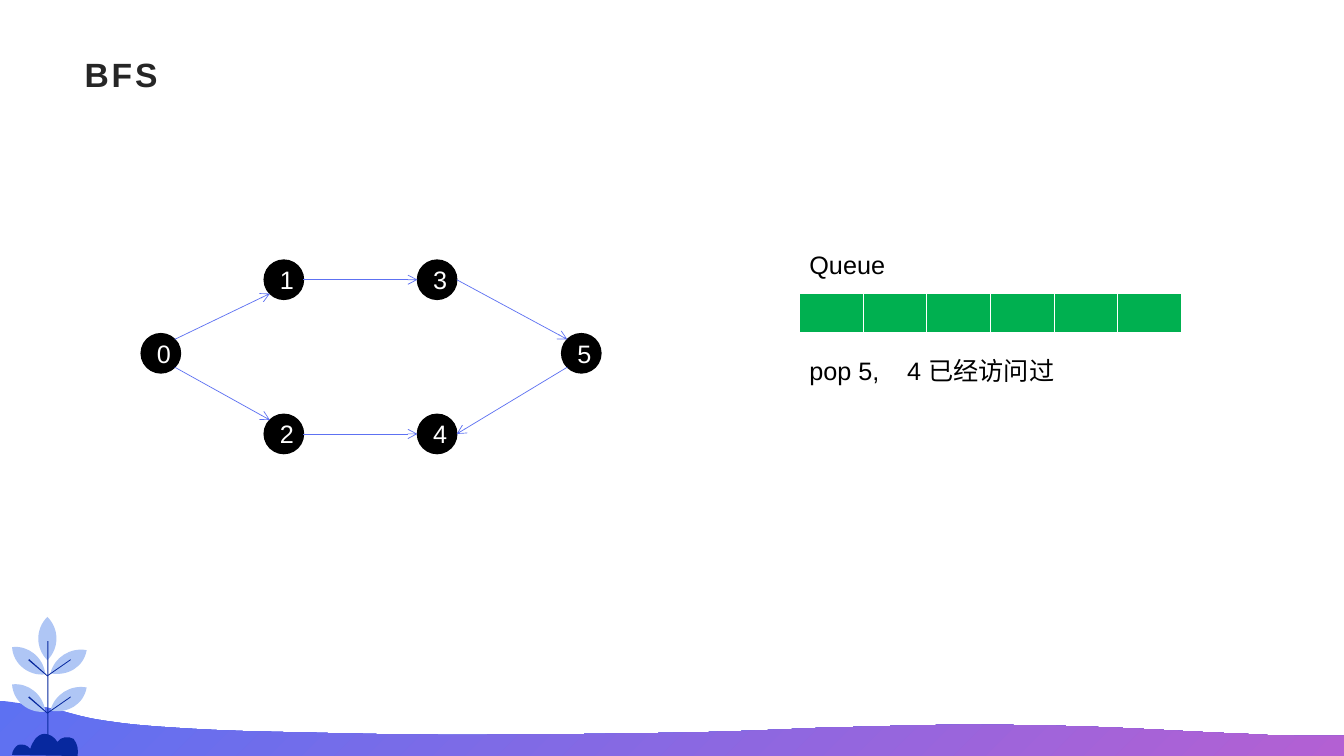
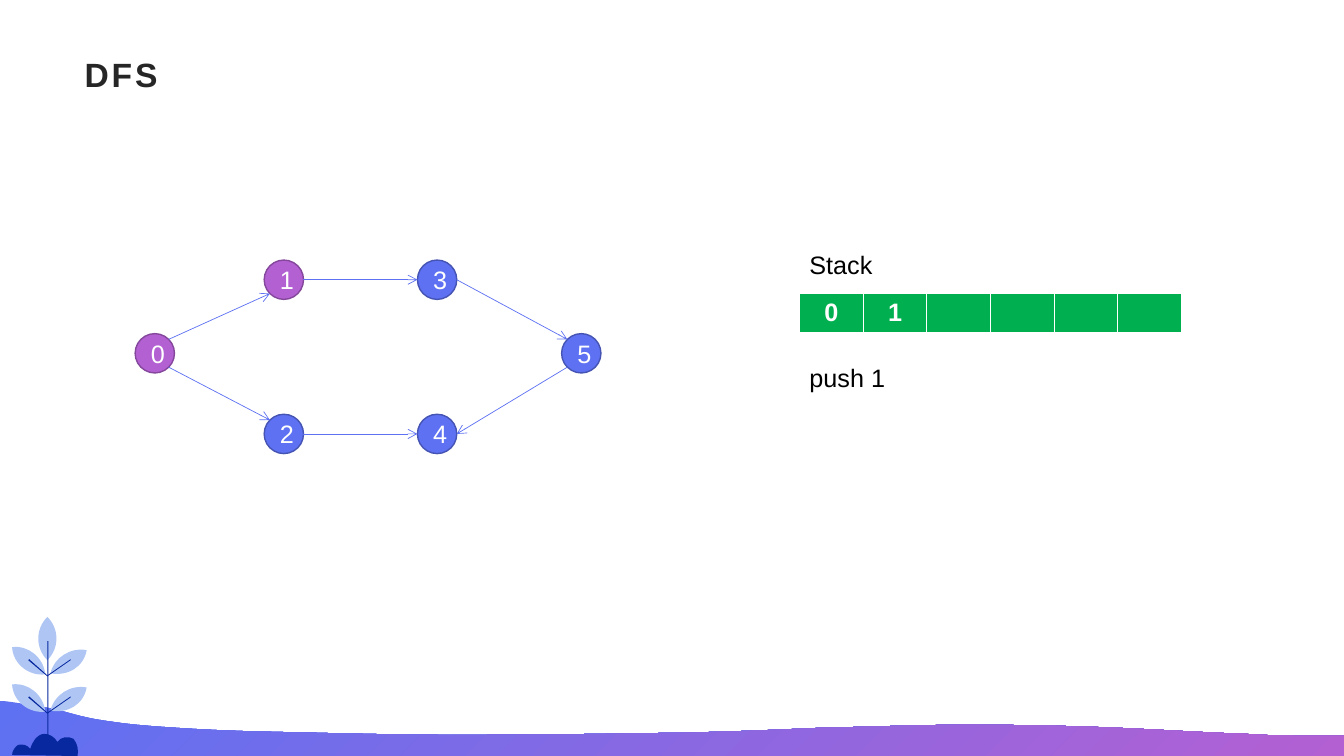
from math import cos, radians, sin

from lxml.etree import SubElement
from pptx import Presentation
from pptx.dml.color import RGBColor
from pptx.enum.shapes import MSO_CONNECTOR, MSO_SHAPE
from pptx.enum.text import MSO_ANCHOR, PP_ALIGN
from pptx.oxml.ns import qn
from pptx.util import Pt

PX = 9144  # one hundredth of an inch
FONT = "Arial"
BLACK = RGBColor(0x00, 0x00, 0x00)
WHITE = RGBColor(0xFF, 0xFF, 0xFF)
INK = RGBColor(0x26, 0x26, 0x26)
BLUE = RGBColor(0x5D, 0x71, 0xF2)
BLUE_EDGE = RGBColor(0x45, 0x54, 0xB3)
PURPLE = RGBColor(0xB3, 0x60, 0xD3)
PURPLE_EDGE = RGBColor(0x84, 0x47, 0x9C)
LEAF = RGBColor(0xAF, 0xC6, 0xF5)
NAVY = RGBColor(0x07, 0x28, 0x9E)
GREEN = RGBColor(0x00, 0xB0, 0x50)

# Outlines: a pair is a line to a point, six numbers are a Bézier curve.
WAVE = [
    (-1, 695), (8, 696), (23, 698, 34, 700, 47, 702),
    (67, 706, 79, 711, 98, 714), (117, 717, 131, 719, 160, 721),
    (188, 723, 222, 725, 271, 726), (320, 727, 388, 729, 454, 729),
    (520, 729, 606, 728, 666, 727), (727, 726, 766, 724, 815, 722),
    (864, 721, 912, 719, 961, 719), (1010, 719, 1062, 720, 1108, 722),
    (1154, 724, 1201, 727, 1235, 728), (1268, 730, 1280, 730, 1310, 730),
    (1314, 730, 1318, 730, 1323, 730), (1333, 730), (1333, 750), (-1, 750),
]
RIGHT_LEAF = [(86, 645), (70, 642, 54, 652, 50, 668), (67, 671, 83, 662, 86, 645)]
LEFT_LEAF = [(45, 669), (43, 652, 28, 640, 12, 642), (13, 659, 29, 671, 45, 669)]
TOP_LEAF = [(47, 612), (35, 624, 35, 643, 47, 655), (59, 643, 59, 624, 47, 612)]
VEINS = [(47, 671), (28, 655), (29, 654), (47, 670), (70, 654), (70, 655)]
MOUND = [
    (12, 749), (12, 745, 15, 741, 18, 739), (23, 738, 27, 739, 30, 743),
    (31, 739, 33, 736, 35, 733), (37, 731, 40, 728, 44, 728),
    (49, 728, 54, 731, 57, 736), (60, 731, 68, 730, 73, 733),
    (77, 738, 78, 744, 77, 750),
]
TIER_GAP = 37
PLANT = [
    (outline, color, drop)
    for outline, color in ((RIGHT_LEAF, LEAF), (LEFT_LEAF, LEAF), (VEINS, NAVY))
    for drop in (TIER_GAP, 0)
] + [(TOP_LEAF, LEAF, 0), (MOUND, NAVY, 0)]

NODE = 39
NODE_CORNERS = [(140, 331), (262, 258), (262, 411), (414, 258), (414, 411), (557, 331)]
# Edges: from node, to node, and the angle on each circle (clockwise from the right).
EDGES = [
    (0, 1, -45, 135), (1, 3, 0, 180), (0, 2, 45, -135),
    (3, 5, 0, -135), (2, 4, 0, 180), (5, 4, 135, 0),
]
SLOTS, STORE_WIDTH, STORE_HEIGHT = 6, 379, 40
SLOT_BORDERS = {"a:lnL": 1, "a:lnR": 1, "a:lnT": 1, "a:lnB": 3}
PANEL_LEFT, LABEL_WIDTH = 793, 263

VISITED = (PURPLE, PURPLE_EDGE)
WAITING = (BLUE, BLUE_EDGE)
STEPS = [
    dict(title="BFS", store="Queue", held="", action="pop 5,\t4 已经访问过",
         action_top=348, start_left=140, looks=[(BLACK, BLACK)] * 6),
    dict(title="DFS", store="Stack", held="01", action="push 1",
         action_top=355, start_left=134, looks=[VISITED] * 2 + [WAITING] * 4),
]


def write(frame, text, size=18, color=BLACK, bold=False, align=PP_ALIGN.LEFT,
          spacing=None, tab=None):
    """Set one formatted paragraph; spacing is in points, tab in px."""
    paragraph = frame.paragraphs[0]
    paragraph.alignment = align
    if tab:
        stops = SubElement(paragraph._p.get_or_add_pPr(), qn("a:tabLst"))
        SubElement(stops, qn("a:tab"), pos=str(tab * PX), algn="l")
    run = paragraph.add_run()
    run.text = text
    font = run.font
    font.name, font.size, font.bold = FONT, Pt(size), bold
    font.color.rgb = color
    if spacing:
        run._r.get_or_add_rPr().set("spc", str(spacing * 100))


def draw_outline(shapes, outline, color, drop=0):
    """Draw a closed outline of lines and Bézier curves, moved down by drop."""
    points = [(values[i], values[i + 1] + drop)
              for values in outline for i in range(0, len(values), 2)]
    builder = shapes.build_freeform(*points[0], scale=PX)
    builder.add_line_segments(points[1:], close=True)
    shape = builder.convert_to_shape()
    lines = iter(list(shape._element.iter(qn("a:lnTo"))))
    for values in outline[1:]:
        line = next(lines)
        if len(values) == 6:
            line.tag = qn("a:cubicBezTo")
            for _ in range(2):
                handle = next(lines)
                line.append(handle[0])
                handle.getparent().remove(handle)
    shape.shadow.inherit = False
    shape.line.fill.background()
    shape.fill.solid()
    shape.fill.fore_color.rgb = color
    return shape


deck = Presentation()
deck.slide_width, deck.slide_height = 1333 * PX, 750 * PX
title_only = deck.slide_layouts[5]
slides = [deck.slides.add_slide(title_only) for _ in STEPS]

# The landscape is drawn once, then moved to the layout that both slides share.
wave = draw_outline(slides[0].shapes, WAVE, BLUE)
wave.fill.gradient()
wave.fill.gradient_angle = 315
for stop, color in zip(wave.fill.gradient_stops, (BLUE, PURPLE)):
    stop.color.rgb = color
plant = slides[0].shapes.add_group_shape()
for outline, color, drop in PLANT:
    draw_outline(plant.shapes, outline, color, drop)
stem = plant.shapes.add_shape(MSO_SHAPE.RECTANGLE, 47 * PX, 636 * PX, PX, 106 * PX)
stem.shadow.inherit = False
stem.fill.solid()
stem.fill.fore_color.rgb = NAVY
stem.line.fill.background()
for part in (wave, plant):
    title_only.shapes._spTree.append(part._element)

for slide, step in zip(slides, STEPS):
    shapes = slide.shapes
    title = shapes.title
    title.left, title.top, title.width, title.height = 73 * PX, 49 * PX, 1187 * PX, 48 * PX
    frame = title.text_frame
    frame.margin_left, frame.margin_right = 11 * PX, 8 * PX
    frame.margin_top = frame.margin_bottom = 4 * PX
    frame.vertical_anchor = MSO_ANCHOR.MIDDLE
    write(frame, step["title"], size=24, color=INK, bold=True, spacing=2)

    corners = [(step["start_left"], NODE_CORNERS[0][1])] + NODE_CORNERS[1:]
    for number, ((left, top), (fill, edge)) in enumerate(zip(corners, step["looks"])):
        node = shapes.add_shape(MSO_SHAPE.OVAL, left * PX, top * PX, NODE * PX, NODE * PX)
        node.shadow.inherit = False
        node.fill.solid()
        node.fill.fore_color.rgb = fill
        node.line.color.rgb = edge
        node.line.width = Pt(1)
        write(node.text_frame, str(number), color=WHITE, align=PP_ALIGN.CENTER)

    for source, target, leave, arrive in EDGES:
        ends = []
        for (left, top), angle in ((corners[source], leave), (corners[target], arrive)):
            ends.append(round((left + NODE / 2 * (1 + cos(radians(angle)))) * PX))
            ends.append(round((top + NODE / 2 * (1 + sin(radians(angle)))) * PX))
        arrow = shapes.add_connector(MSO_CONNECTOR.STRAIGHT, *ends)
        arrow.line.color.rgb = BLUE
        arrow.line.width = Pt(0.5)
        properties = arrow._element.spPr
        SubElement(properties.find(qn("a:ln")), qn("a:tailEnd"), type="arrow")
        SubElement(properties, qn("a:effectLst"))

    store = shapes.add_table(1, SLOTS, PANEL_LEFT * PX, 291 * PX,
                             STORE_WIDTH * PX, STORE_HEIGHT * PX).table
    store.horz_banding = False
    for index, slot in enumerate(store.rows[0].cells):
        for side, weight in SLOT_BORDERS.items():
            border = SubElement(slot._tc.get_or_add_tcPr(), qn(side), w=str(Pt(weight)))
            SubElement(SubElement(border, qn("a:solidFill")), qn("a:srgbClr"), val=str(WHITE))
        slot.fill.solid()
        slot.fill.fore_color.rgb = GREEN
        if index < len(step["held"]):
            write(slot.text_frame, step["held"][index], color=WHITE, bold=True,
                  align=PP_ALIGN.CENTER)

    for text, top in ((step["store"], 242), (step["action"], step["action_top"])):
        label = shapes.add_textbox(PANEL_LEFT * PX, top * PX, LABEL_WIDTH * PX, 40 * PX)
        label.text_frame.word_wrap = True
        write(label.text_frame, text, tab=97 if "\t" in text else None)

deck.save("out.pptx")
